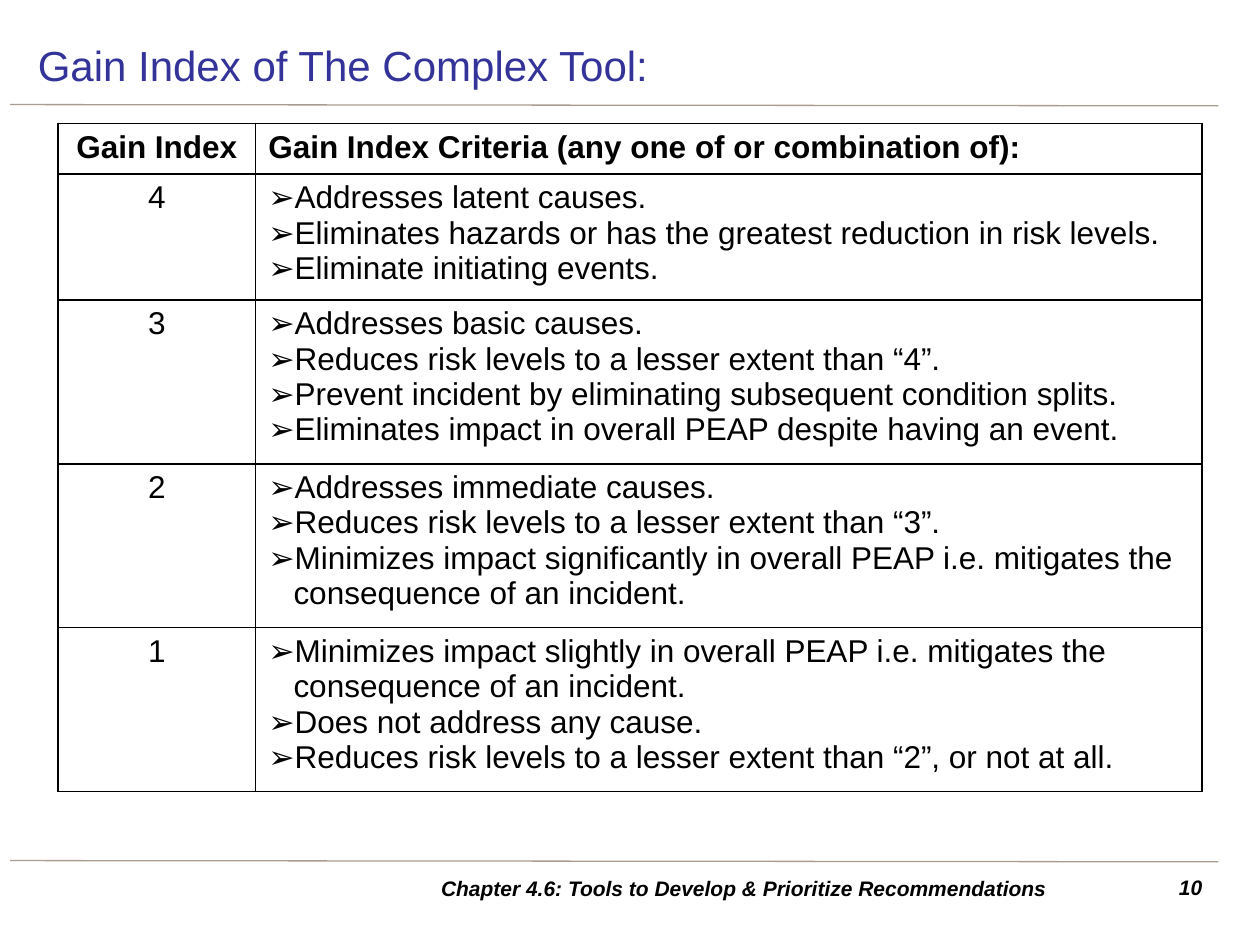
from dataclasses import dataclass
from lxml.etree import SubElement
from pptx import Presentation
from pptx.dml.color import RGBColor as Color
from pptx.enum.shapes import MSO_CONNECTOR as Connector
from pptx.enum.text import MSO_ANCHOR as Anchor, PP_ALIGN as Align
from pptx.oxml.ns import qn
from pptx.util import Inches, Pt

TITLE = "Gain Index of The Complex Tool:"
FOOTER = "Chapter 4.6: Tools to Develop & Prioritize Recommendations"
PAGE_NUMBER = "10"
HEADERS = ("Gain Index", "Gain Index Criteria (any one of or combination of):")
CRITERIA = {
    "4": [
        "Addresses latent causes.",
        "Eliminates hazards or has the greatest reduction in risk levels.",
        "Eliminate initiating events.",
    ],
    "3": [
        "Addresses basic causes.",
        "Reduces risk levels to a lesser extent than “4”.",
        "Prevent incident by eliminating subsequent condition splits.",
        "Eliminates impact in overall PEAP despite having an event.",
    ],
    "2": [
        "Addresses immediate causes.",
        "Reduces risk levels to a lesser extent than “3”.",
        "Minimizes impact significantly in overall PEAP i.e. mitigates the consequence of an incident.",
    ],
    "1": [
        "Minimizes impact slightly in overall PEAP i.e. mitigates the consequence of an incident.",
        "Does not address any cause.",
        "Reduces risk levels to a lesser extent than “2”, or not at all.",
    ],
}
COLUMN_WIDTHS = (1.57, 7.51)
ROW_HEIGHTS = (0.39, 0.99, 1.22, 1.22, 1.22)
RULE_TOPS = (0.83, 6.83)


@dataclass(frozen=True)
class Theme:
    font: str = "Arial"
    title: str = "333399"
    text: str = "000000"
    paper: str = "FFFFFF"
    rule: str = "AA9C8F"
    title_size: int = 24
    table_size: int = 18
    footer_size: int = 12


THEME = Theme()


def add_bullet(para):
    properties = para._p.get_or_add_pPr()
    properties.set("marL", str(Inches(0.2)))
    properties.set("indent", str(Inches(-0.2)))
    SubElement(properties, qn("a:buFont"), typeface=THEME.font)
    SubElement(properties, qn("a:buChar"), char="➢")
    tabs = SubElement(properties, qn("a:tabLst"))
    SubElement(tabs, qn("a:tab"), pos=str(Inches(0.25)), algn="l")


def write(frame, lines, size, color=THEME.text, align=Align.LEFT,
          bold=False, italic=False, bullet=False):
    for index, line in enumerate(lines):
        para = frame.add_paragraph() if index else frame.paragraphs[0]
        para.alignment = align
        if bullet:
            add_bullet(para)
        span = para.add_run()
        span.text = line
        font = span.font
        font.name, font.size = THEME.font, Pt(size)
        font.bold, font.italic = bold, italic
        font.color.rgb = Color.from_string(color)


def add_rule(page, top):
    rule = page.shapes.add_connector(
        Connector.STRAIGHT, Inches(0.08), Inches(top), Inches(9.67), Inches(top + 0.01))
    rule.line.color.rgb = Color.from_string(THEME.rule)
    rule.line.width = Pt(0.75)
    SubElement(rule._element.spPr, qn("a:effectLst"))


def add_footer_text(page, text, left, width, align, anchor):
    box = page.shapes.add_textbox(Inches(left), Inches(6.89), Inches(width), Inches(0.31))
    box.text_frame.word_wrap = True
    box.text_frame.vertical_anchor = anchor
    write(box.text_frame, [text], THEME.footer_size, align=align, bold=True, italic=True)


def style_cell(cell):
    properties = cell._tc.get_or_add_tcPr()
    for side in ("lnL", "lnR", "lnT", "lnB"):
        border = SubElement(properties, qn(f"a:{side}"), w=str(Pt(1)))
        fill = SubElement(border, qn("a:solidFill"))
        SubElement(fill, qn("a:srgbClr"), val=THEME.text)
    cell.fill.solid()
    cell.fill.fore_color.rgb = Color.from_string(THEME.paper)


def add_criteria_table(page):
    rows = [(HEADERS[0], [HEADERS[1]]), *CRITERIA.items()]
    table = page.shapes.add_table(
        len(rows), len(COLUMN_WIDTHS), Inches(0.46), Inches(0.98),
        Inches(sum(COLUMN_WIDTHS)), Inches(sum(ROW_HEIGHTS))).table
    for column, width in zip(table.columns, COLUMN_WIDTHS):
        column.width = Inches(width)
    for index, (row, height, (gain, criteria)) in enumerate(zip(table.rows, ROW_HEIGHTS, rows)):
        row.height = Inches(height)
        header = index == 0
        gain_cell, criteria_cell = row.cells
        write(gain_cell.text_frame, [gain], THEME.table_size, align=Align.CENTER, bold=header)
        write(criteria_cell.text_frame, criteria, THEME.table_size, bold=header, bullet=not header)
        for cell in row.cells:
            style_cell(cell)


def main():
    deck = Presentation()
    deck.slide_width, deck.slide_height = Inches(10), Inches(7.5)
    page = deck.slides.add_slide(deck.slide_layouts[5])
    for top in RULE_TOPS:
        add_rule(page, top)
    title = page.shapes.title
    title.left, title.top = Inches(0.2), Inches(0.24)
    title.width, title.height = Inches(9.45), Inches(0.55)
    title.text_frame.vertical_anchor = Anchor.MIDDLE
    write(title.text_frame, [TITLE], THEME.title_size, color=THEME.title)
    add_footer_text(page, PAGE_NUMBER, 9.06, 0.58, Align.RIGHT, Anchor.TOP)
    add_footer_text(page, FOOTER, 2.95, 5.91, Align.CENTER, Anchor.MIDDLE)
    add_criteria_table(page)
    deck.save("out.pptx")


if __name__ == "__main__":
    main()
